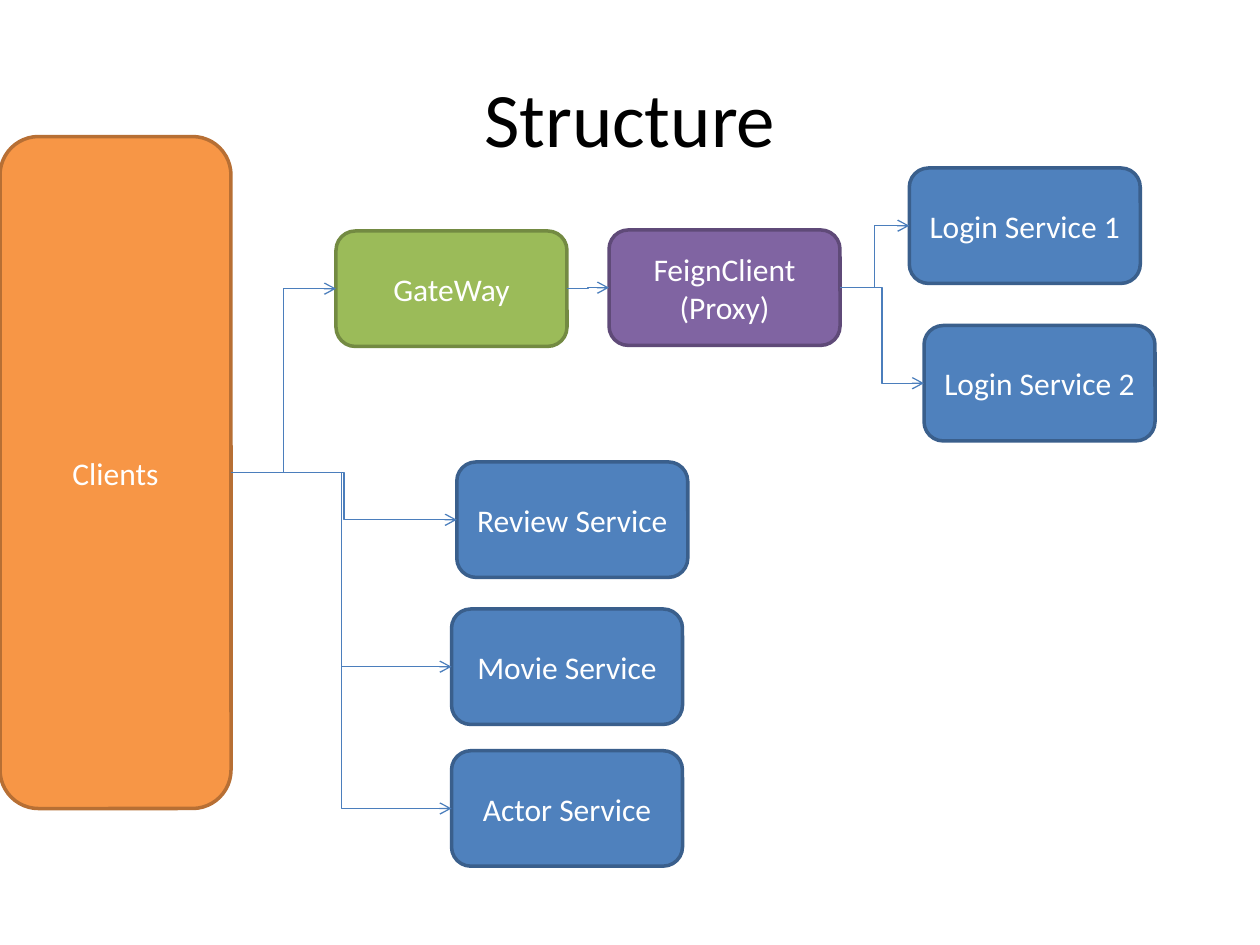
from dataclasses import dataclass

from lxml import etree
from pptx import Presentation
from pptx.dml.color import RGBColor
from pptx.enum.shapes import MSO_CONNECTOR, MSO_SHAPE
from pptx.enum.text import MSO_ANCHOR, PP_ALIGN
from pptx.oxml.ns import qn
from pptx.util import Inches, Pt

ROUNDED = MSO_SHAPE.ROUNDED_RECTANGLE
ELBOW = MSO_CONNECTOR.ELBOW
CENTER = PP_ALIGN.CENTER
MIDDLE = MSO_ANCHOR.MIDDLE
LEFT_SITE, RIGHT_SITE = 1, 3
TITLE_ONLY = 5
COLS, ROWS = 120, 90
NODE_W, NODE_H = 22, 11


@dataclass(frozen=True)
class Theme:
    """Colours as (fill, line) pairs, type sizes and line widths."""
    font: str = "Calibri"
    title_size: int = 44
    node_size: int = 18
    border: float = 2
    link: float = 0.75
    title_color: str = "000000"
    node_color: str = "FFFFFF"
    link_color: str = "4B7EBC"
    client: tuple = ("F79646", "B76F34")
    gateway: tuple = ("9BBB59", "738A42")
    proxy: tuple = ("8064A2", "5F4A78")
    service: tuple = ("4F81BD", "3A5F8C")


THEME = Theme()
prs = Presentation()
prs.slide_width, prs.slide_height = Inches(10), Inches(7.5)


def grid(col, row, cols, rows):
    """Turn grid columns and rows into left, top, width and height."""
    x, y = prs.slide_width / COLS, prs.slide_height / ROWS
    return [round(v) for v in (col * x, row * y, cols * x, rows * y)]


def style_text(tf, size, color):
    """Centre the text and set its font, size and colour."""
    tf.word_wrap = True
    tf.vertical_anchor = MIDDLE
    for p in tf.paragraphs:
        p.alignment = CENTER
        for r in p.runs:
            r.font.name, r.font.size = THEME.font, Pt(size)
            r.font.color.rgb = RGBColor.from_string(color)


def add_title(slide, text, box):
    """Fill the title placeholder and place it in the box."""
    sp = slide.shapes.title
    sp.left, sp.top, sp.width, sp.height = grid(*box)
    sp.text_frame.text = text
    style_text(sp.text_frame, THEME.title_size, THEME.title_color)


def add_node(slide, text, colors, col, row, cols=NODE_W, rows=NODE_H):
    """Add a rounded, labelled box."""
    sp = slide.shapes.add_shape(ROUNDED, *grid(col, row, cols, rows))
    sp.shadow.inherit = False
    fill, line = (RGBColor.from_string(c) for c in colors)
    sp.fill.solid()
    sp.fill.fore_color.rgb = fill
    sp.line.color.rgb = line
    sp.line.width = Pt(THEME.border)
    sp.text_frame.text = text
    style_text(sp.text_frame, THEME.node_size, THEME.node_color)
    return sp


def add_link(slide, source, target):
    """Join the right side of one node to the left side of another."""
    link = slide.shapes.add_connector(ELBOW, 0, 0, 0, 0)
    link.begin_connect(source, RIGHT_SITE)
    link.end_connect(target, LEFT_SITE)
    link.line.color.rgb = RGBColor.from_string(THEME.link_color)
    link.line.width = Pt(THEME.link)
    etree.SubElement(link.line._get_or_add_ln(), qn("a:tailEnd"), type="arrow")
    etree.SubElement(link._element.spPr, qn("a:effectLst"))


def add_login_flow(slide, clients, col, row):
    """Chain the gateway and proxy to the two login services."""
    gateway = add_node(slide, "GateWay", THEME.gateway, col, row + 6)
    proxy = add_node(slide, "FeignClient\n(Proxy)", THEME.proxy, col + 26, row + 5.9)
    add_link(slide, clients, gateway)
    add_link(slide, gateway, proxy)
    for i, (dx, dy) in enumerate([(54.6, 0), (56, 15)], 1):
        login = add_node(slide, f"Login Service {i}", THEME.service, col + dx, row + dy)
        add_link(slide, proxy, login)


def add_services(slide, clients, col, row):
    """Stack the services that the clients call directly."""
    stack = [("Review", 0.5, 0), ("Movie", 0, 14), ("Actor", 0, 27.5)]
    for name, dx, dy in stack:
        node = add_node(slide, f"{name} Service", THEME.service, col + dx, row + dy)
        add_link(slide, clients, node)


def structure_slide():
    """Build the service structure diagram."""
    slide = prs.slides.add_slide(prs.slide_layouts[TITLE_ONLY])
    add_title(slide, "Structure", (6, 3.6, 108, 15))
    clients = add_node(slide, "Clients", THEME.client, 0, 13, rows=64)
    add_login_flow(slide, clients, 32, 16)
    add_services(slide, clients, 43, 44)


structure_slide()
prs.save("out.pptx")
